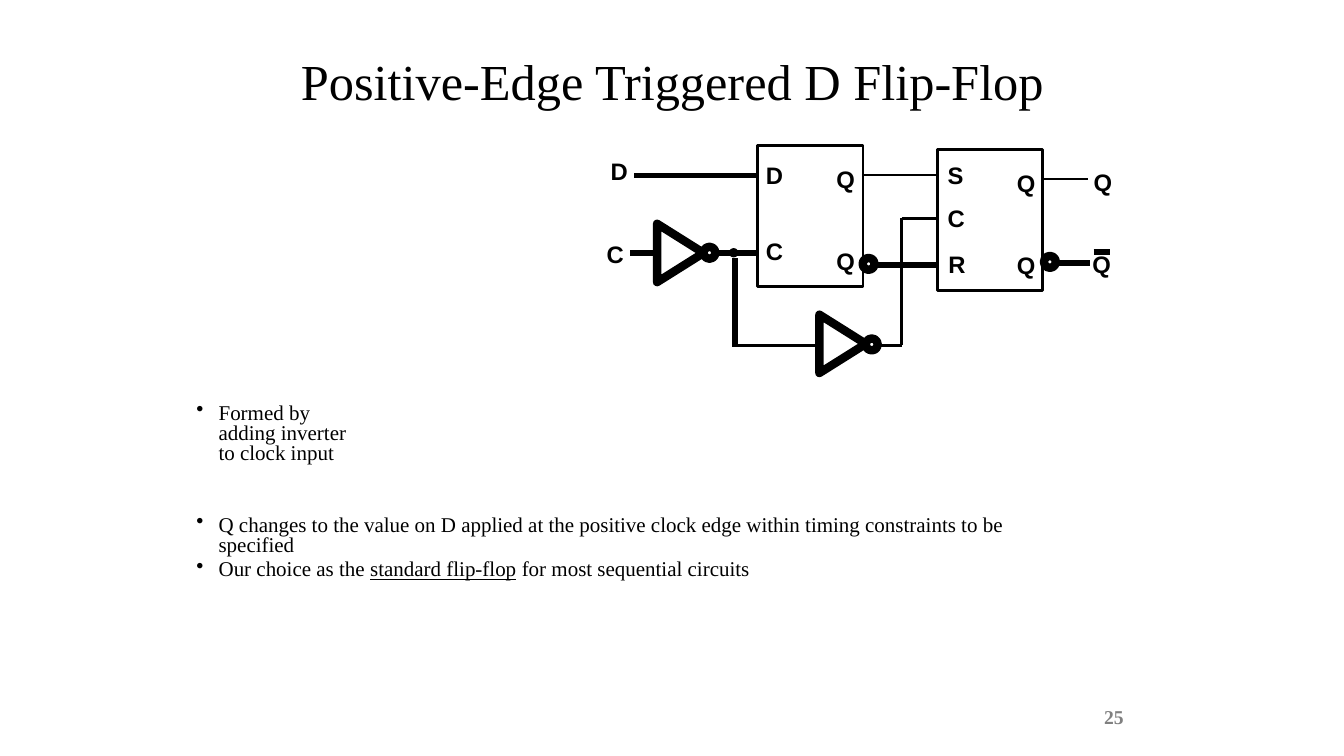
from pptx import Presentation, util as u
from pptx.dml.color import RGBColor
from pptx.enum import shapes, text
from pptx.oxml import ns
from lxml import etree

BLACK = RGBColor(0, 0, 0)
GREY = RGBColor(0x80, 0x80, 0x80)
SERIF, SANS = "Times New Roman", "Arial"
THIN, THICK, HEAVY = 2, 4, 6  # points

TITLE = "Positive-Edge Triggered D Flip-Flop"
PAGE = "25"
# space before in points, then runs as (text, underlined)
BULLETS = [
    (0, [("Formed by\nadding inverter\nto clock input", False)]),
    (37, [("Q changes to the value on D applied at the positive clock edge "
           "within timing constraints to be specified", False)]),
    (3, [("Our choice as the ", False), ("standard flip-flop", True),
         (" for most sequential circuits", False)]),
]

# All places below are in centimetres.
LATCH_SIZE = (2.65, 3.55)
LATCHES = [(19.1, 3.67), (23.63, 3.77)]
WIRES = {
    THIN: [
        (21.72, 4.41, 23.62, 4.41),   # Q to S
        (26.31, 4.51, 27.43, 4.51),   # Q output
        (18.52, 8.7, 20.65, 8.7),     # clock to second inverter
        (22.15, 8.7, 22.72, 8.7),
        (22.72, 8.7, 22.72, 5.5),
        (22.72, 5.5, 23.62, 5.5),     # inverter to C
    ],
    THICK: [
        (22.07, 6.68, 23.65, 6.68),   # inverted Q to R
        (26.64, 6.63, 27.48, 6.63),   # inverted Q output
        (27.56, 6.35, 27.97, 6.35),   # bar over Q
        (18.52, 8.74, 18.52, 6.5),    # clock branch
        (17.98, 6.38, 19.08, 6.38),
        (15.88, 6.38, 16.59, 6.38),   # C input
        (15.98, 4.42, 19.05, 4.42),   # D input
    ],
}
INVERTERS = [(20.5, 8.08), (16.41, 5.79)]
BUBBLES = [(21.82, 8.53), (21.74, 6.5), (26.31, 6.45), (17.73, 6.22)]
JUNCTION = (18.39, 6.27)
LABELS = [
    ("D", 15.39, 3.96), ("C", 15.29, 6.05),
    ("D", 19.3, 4.04), ("C", 19.3, 5.97), ("Q", 21.08, 4.14), ("Q", 21.08, 6.22),
    ("S", 23.88, 4.04), ("C", 23.88, 5.13), ("R", 23.9, 6.3),
    ("Q", 25.63, 4.24), ("Q", 25.63, 6.32),
    ("Q", 27.56, 4.22), ("Q", 27.53, 6.3),
]

prs = Presentation()
prs.slide_width, prs.slide_height = u.Cm(33.87), u.Cm(19.05)
s = prs.slides.add_slide(prs.slide_layouts[6])


def set_all(obj, values):
    for name, value in values.items():
        setattr(obj, name, value)


def add_frame(x, y, w, h, inset=0.25, **values):
    tf = s.shapes.add_textbox(*map(u.Cm, (x, y, w, h))).text_frame
    for side in ("left", "top", "right", "bottom"):
        setattr(tf, "margin_" + side, u.Cm(inset))
    set_all(tf, values)
    return tf


def add_run(p, words, size, face, color=BLACK, **values):
    r = p.add_run()
    r.text = words
    set_all(r.font, dict(size=u.Pt(size), name=face, **values))
    r.font.color.rgb = color


def add_part(kind, place, size, weight, filled=False, turn=0):
    sp = s.shapes.add_shape(kind, *map(u.Cm, place + size))
    sp.shadow.inherit = False
    sp.rotation = turn
    if filled:
        sp.fill.solid()
        sp.fill.fore_color.rgb = BLACK
    else:
        sp.fill.background()
    sp.line.color.rgb = BLACK
    sp.line.width = u.Pt(weight)
    etree.SubElement(sp.line._get_or_add_ln(), ns.qn("a:round"))


def add_wire(ends, weight):
    wire = s.shapes.add_connector(shapes.MSO_CONNECTOR.STRAIGHT, *map(u.Cm, ends))
    wire.line.color.rgb = BLACK
    wire.line.width = u.Pt(weight)
    etree.SubElement(wire._element.spPr, ns.qn("a:effectLst"))


def add_bullet(p):
    pPr = p._p.get_or_add_pPr()
    pPr.set("marL", str(u.Cm(0.56)))
    pPr.set("indent", str(-u.Cm(0.56)))
    etree.SubElement(pPr, ns.qn("a:buChar")).set("char", "•")


tf = add_frame(28 - 0.47, 17.15, 1.04, 1.04, word_wrap=False)
p = tf.paragraphs[0]
set_all(p, dict(alignment=text.PP_ALIGN.RIGHT, line_spacing=1.6))
add_run(p, PAGE, 14, SERIF, GREY, bold=True)

tf = add_frame(6.15, 0.43, 21.6, 3.17, word_wrap=True,
               vertical_anchor=text.MSO_ANCHOR.MIDDLE)
p = tf.paragraphs[0]
p.alignment = text.PP_ALIGN.CENTER
add_run(p, TITLE, 36, SERIF)

tf = add_frame(4.7, 9.93, 21.6, 5.38, word_wrap=True)
for i, (gap, runs) in enumerate(BULLETS):
    p = tf.add_paragraph() if i else tf.paragraphs[0]
    add_bullet(p)
    set_all(p, dict(line_spacing=0.8, space_before=u.Pt(gap)))
    for words, underlined in runs:
        for n, row in enumerate(words.split("\n")):
            if n:
                p.add_line_break()
            add_run(p, row, 15, SERIF, underline=underlined)
    for br in p._p.findall(ns.qn("a:br")):
        etree.SubElement(br, ns.qn("a:rPr")).set("sz", "1500")

for place in LATCHES:
    add_part(shapes.MSO_SHAPE.RECTANGLE, place, LATCH_SIZE, THIN)
for weight, wires in WIRES.items():
    for ends in wires:
        add_wire(ends, weight)
for place in INVERTERS:
    add_part(shapes.MSO_SHAPE.ISOSCELES_TRIANGLE, place, (1.47, 1.17), HEAVY, turn=90)
for place in BUBBLES:
    add_part(shapes.MSO_SHAPE.OVAL, place, (0.3, 0.3), HEAVY)
add_part(shapes.MSO_SHAPE.OVAL, JUNCTION, (0.2, 0.2), 1, filled=True)
for letter, x, y in LABELS:
    tf = add_frame(x, y, 0.48, 0.71, inset=0, word_wrap=False)
    add_run(tf.paragraphs[0], letter, 17, SANS, bold=True)

prs.save("out.pptx")
